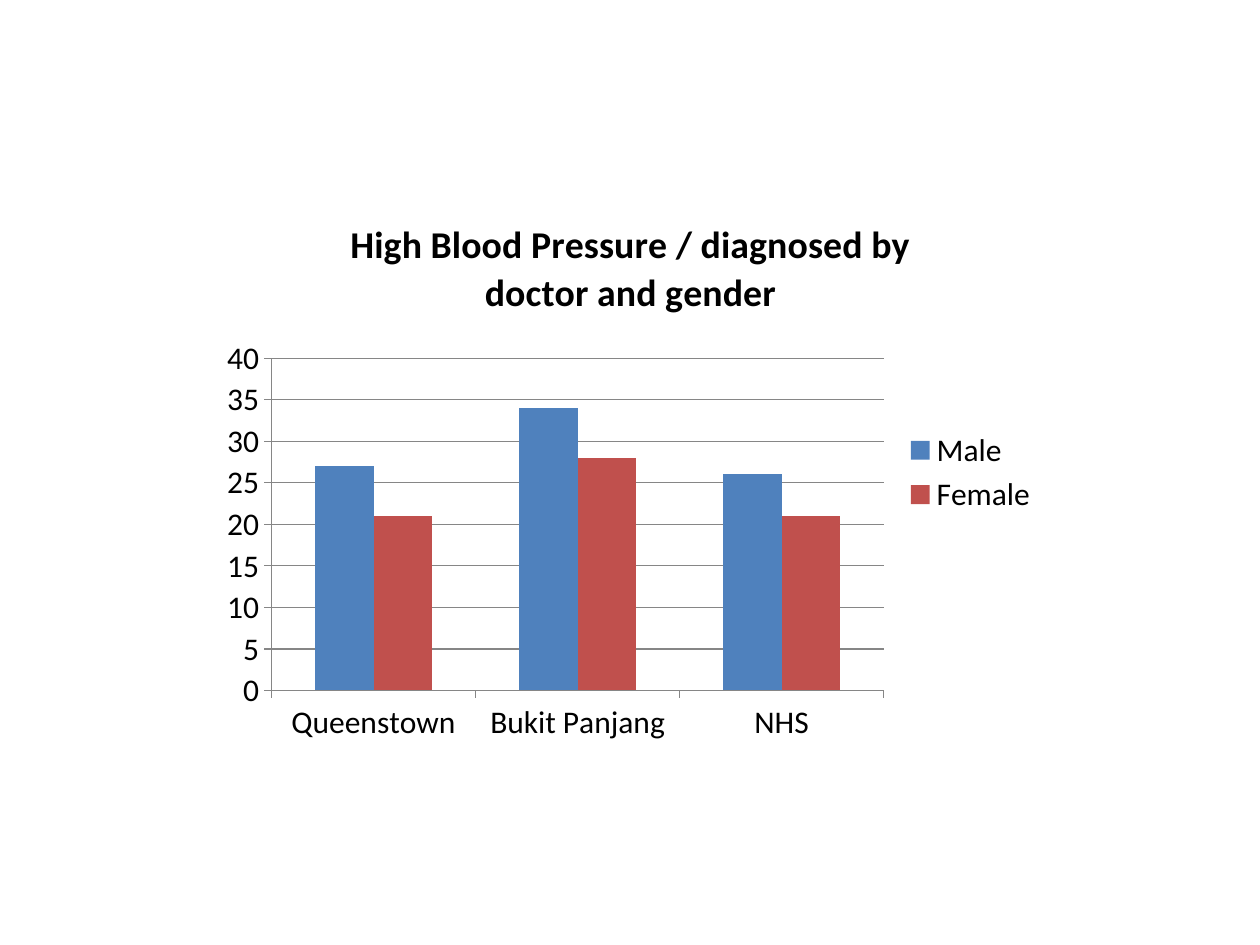
from dataclasses import dataclass

from pptx import Presentation
from pptx import util as u
from pptx.chart.axis import CategoryAxis, ValueAxis
from pptx.chart.chart import Chart
from pptx.chart.data import CategoryChartData
from pptx.dml.color import RGBColor
from pptx.enum import chart as ch


@dataclass(frozen=True)
class Theme:
    font: str = "Calibri"
    label_size: float = 18
    title_size: float = 21.6
    ink: str = "000000"
    rule: str = "868686"
    rule_width: float = 0.75


@dataclass(frozen=True)
class Gender:
    name: str
    rates: tuple[int, ...]
    color: str


THEME = Theme()
TITLE = "High Blood Pressure / diagnosed by doctor and gender"
SITES = ("Queenstown", "Bukit Panjang", "NHS")
GENDERS = (
    Gender("Male", (27, 34, 26), "4F81BD"),
    Gender("Female", (21, 28, 21), "C0504D"),
)


def style_font(font, size: float, bold: bool = False) -> None:
    font.name = THEME.font
    font.size = u.Pt(size)
    font.bold = bold
    font.color.rgb = RGBColor.from_string(THEME.ink)


def style_rule(line) -> None:
    line.color.rgb = RGBColor.from_string(THEME.rule)
    line.width = u.Pt(THEME.rule_width)


def style_axis(axis: CategoryAxis | ValueAxis) -> None:
    axis.major_tick_mark = ch.XL_TICK_MARK.OUTSIDE
    axis.minor_tick_mark = ch.XL_TICK_MARK.NONE
    style_rule(axis.format.line)


def add_title(chart: Chart) -> None:
    chart.has_title = True
    heading = chart.chart_title.text_frame.paragraphs[0].add_run()
    heading.text = TITLE
    style_font(heading.font, THEME.title_size, bold=True)
    chart.chart_title.include_in_layout = False


def add_legend(chart: Chart) -> None:
    chart.has_legend = True
    chart.legend.position = ch.XL_LEGEND_POSITION.RIGHT
    chart.legend.include_in_layout = False


def add_pressure_chart(slide) -> None:
    rates = CategoryChartData()
    rates.categories = SITES
    for gender in GENDERS:
        rates.add_series(gender.name, gender.rates)
    chart = slide.shapes.add_chart(
        ch.XL_CHART_TYPE.COLUMN_CLUSTERED,
        u.Inches(1.67), u.Inches(1.53), u.Inches(6.67), u.Inches(4.44),
        rates,
    ).chart
    style_font(chart.font, THEME.label_size)
    add_title(chart)
    add_legend(chart)

    style_axis(chart.category_axis)
    style_axis(chart.value_axis)
    chart.value_axis.minimum_scale = 0
    chart.value_axis.maximum_scale = 40
    chart.value_axis.major_unit = 5
    chart.value_axis.has_major_gridlines = True
    style_rule(chart.value_axis.major_gridlines.format.line)

    columns = chart.plots[0]
    columns.gap_width = 150
    columns.overlap = 0
    columns.vary_by_categories = False
    for series, gender in zip(columns.series, GENDERS):
        series.format.fill.solid()
        series.format.fill.fore_color.rgb = RGBColor.from_string(gender.color)


def main() -> None:
    deck = Presentation()
    deck.slide_width = u.Inches(10)
    deck.slide_height = u.Inches(7.5)
    slide = deck.slides.add_slide(deck.slide_layouts[6])
    add_pressure_chart(slide)
    deck.save("out.pptx")


if __name__ == "__main__":
    main()
